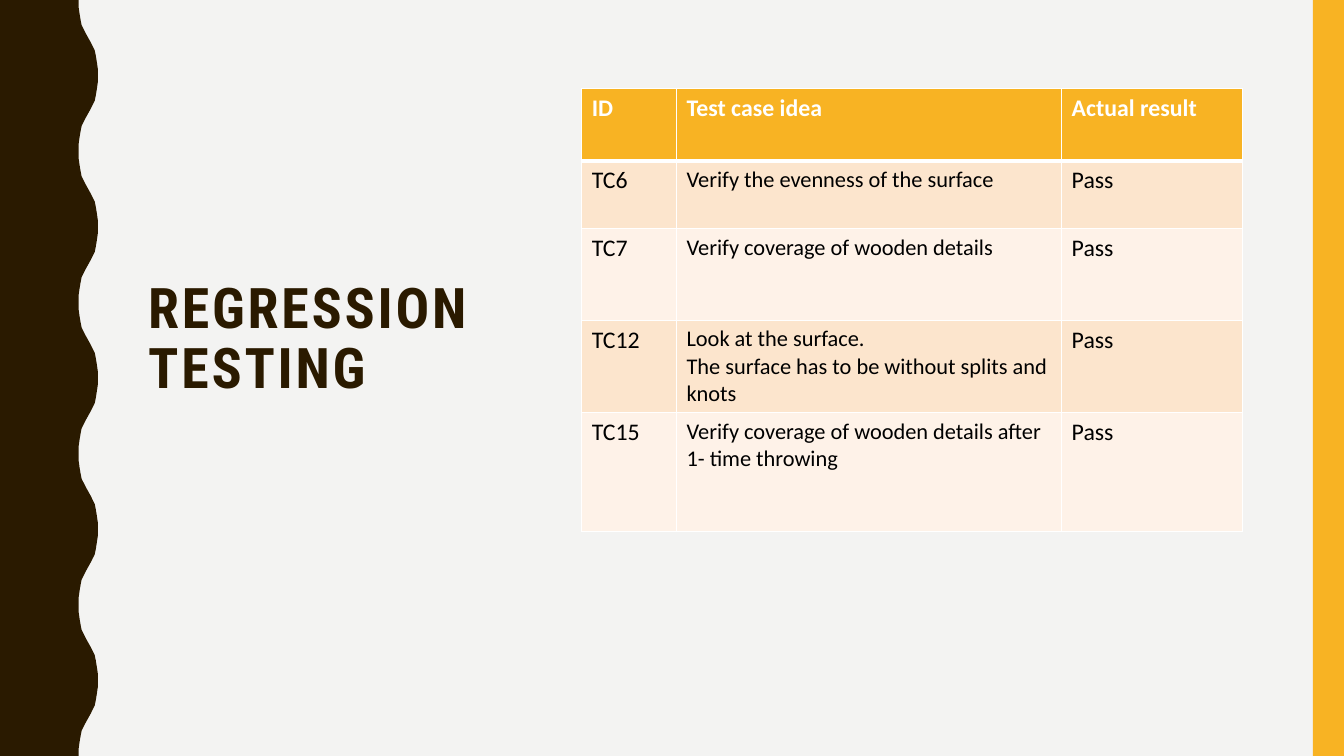
from lxml import etree
from pptx import Presentation
from pptx.dml.color import RGBColor
from pptx.enum.shapes import MSO_SHAPE as Shape
from pptx.enum.text import MSO_ANCHOR as Anchor, PP_ALIGN as Align
from pptx.oxml.ns import qn
from pptx.util import Inches, Pt

TITLE = "REGRESSION TESTING"
TEST_CASES = [
    ("ID", "Test case idea", "Actual result"),
    ("TC6", "Verify the evenness of the surface", "Pass"),
    ("TC7", "Verify coverage of wooden details", "Pass"),
    ("TC12", "Look at the surface.\nThe surface has to be without splits and knots", "Pass"),
    ("TC15", "Verify coverage of wooden details after 1- time throwing", "Pass"),
]
COLUMN_WIDTHS = (0.94, 3.82, 1.79)
ROW_HEIGHTS = (0.72, 0.67, 0.91, 0.91, 1.18)
QUARTER_WAVE = [(0.78, 0), (0.78, 0.07), (0.79, 0.14), (0.8, 0.2),
                (0.81, 0.25), (0.83, 0.29), (0.85, 0.33)]
WAVE_LENGTH, WAVE_COUNT = 1.5, 5
WIDTH, HEIGHT = 13.33, 7.5

BROWN = RGBColor(0x2A, 0x1A, 0x00)
AMBER = RGBColor(0xF8, 0xB3, 0x23)
PAPER = RGBColor(0xF3, 0xF3, 0xF2)
PEACH = RGBColor(0xFC, 0xE5, 0xCD)
CREAM = RGBColor(0xFE, 0xF2, 0xE8)
WHITE = RGBColor(0xFF, 0xFF, 0xFF)
BLACK = RGBColor(0x00, 0x00, 0x00)


def paint(shape, color):
    shape.shadow.inherit = False
    shape.fill.solid()
    shape.fill.fore_color.rgb = color
    shape.line.fill.background()


def add_side_bands(slide):
    half = QUARTER_WAVE + [(1.75 - x, WAVE_LENGTH / 2 - y) for x, y in reversed(QUARTER_WAVE)]
    wave = half + [(x, WAVE_LENGTH - y) for x, y in reversed(half[1:-1])]
    edge = [(x, y + i * WAVE_LENGTH) for i in range(WAVE_COUNT) for x, y in wave]
    outline = edge + [(QUARTER_WAVE[0][0], HEIGHT), (0, HEIGHT)]
    builder = slide.shapes.build_freeform(0, 0)
    builder.add_line_segments([(Inches(x), Inches(y)) for x, y in outline], close=True)
    paint(builder.convert_to_shape(), BROWN)
    stripe = slide.shapes.add_shape(Shape.RECTANGLE, Inches(13.02), 0, Inches(0.31), Inches(HEIGHT))
    paint(stripe, AMBER)


def format_title(title):
    title.left, title.top, title.width, title.height = map(Inches, (1.37, 0.71, 3.7, 5.93))
    frame = title.text_frame
    frame.text = TITLE
    frame.word_wrap = True
    frame.vertical_anchor = Anchor.MIDDLE
    frame.margin_bottom = Inches(0.65)
    paragraph = frame.paragraphs[0]
    paragraph.alignment = Align.LEFT
    paragraph.line_spacing = 0.9
    run = paragraph.runs[0]
    font = run.font
    font.name, font.size, font.bold = "Roboto Condensed", Pt(40), True
    font.color.rgb = BROWN
    font._element.set("spc", "200")


def add_borders(cell, row):
    properties = cell._tc.get_or_add_tcPr()
    widths = {"L": 1, "R": 1, "T": 3 if row == 1 else 1, "B": 3 if row == 0 else 1}
    for side, points in widths.items():
        line = etree.SubElement(properties, qn(f"a:ln{side}"), w=str(Pt(points)))
        fill = etree.SubElement(line, qn("a:solidFill"))
        etree.SubElement(fill, qn("a:srgbClr"), val=str(WHITE))


def add_test_table(slide):
    table = slide.shapes.add_table(
        len(TEST_CASES), len(COLUMN_WIDTHS), Inches(5.77), Inches(0.88),
        Inches(sum(COLUMN_WIDTHS)), Inches(sum(ROW_HEIGHTS))).table
    for column, width in zip(table.columns, COLUMN_WIDTHS):
        column.width = Inches(width)
    for r, (texts, height) in enumerate(zip(TEST_CASES, ROW_HEIGHTS)):
        table.rows[r].height = Inches(height)
        header = r == 0
        for c, text in enumerate(texts):
            cell = table.cell(r, c)
            add_borders(cell, r)
            cell.fill.solid()
            cell.fill.fore_color.rgb = AMBER if header else PEACH if r % 2 else CREAM
            cell.text_frame.text = text
            for paragraph in cell.text_frame.paragraphs:
                font = paragraph.runs[0].font
                font.name, font.bold = "Calibri", header
                font.size = Pt(16 if c == 1 and not header else 17)
                font.color.rgb = WHITE if header else BLACK


def main():
    """Build the regression testing slide."""
    deck = Presentation()
    deck.slide_width, deck.slide_height = Inches(WIDTH), Inches(HEIGHT)
    slide = deck.slides.add_slide(deck.slide_layouts[5])
    slide.background.fill.solid()
    slide.background.fill.fore_color.rgb = PAPER
    add_side_bands(slide)
    format_title(slide.shapes.title)
    add_test_table(slide)
    deck.save("out.pptx")


if __name__ == "__main__":
    main()
